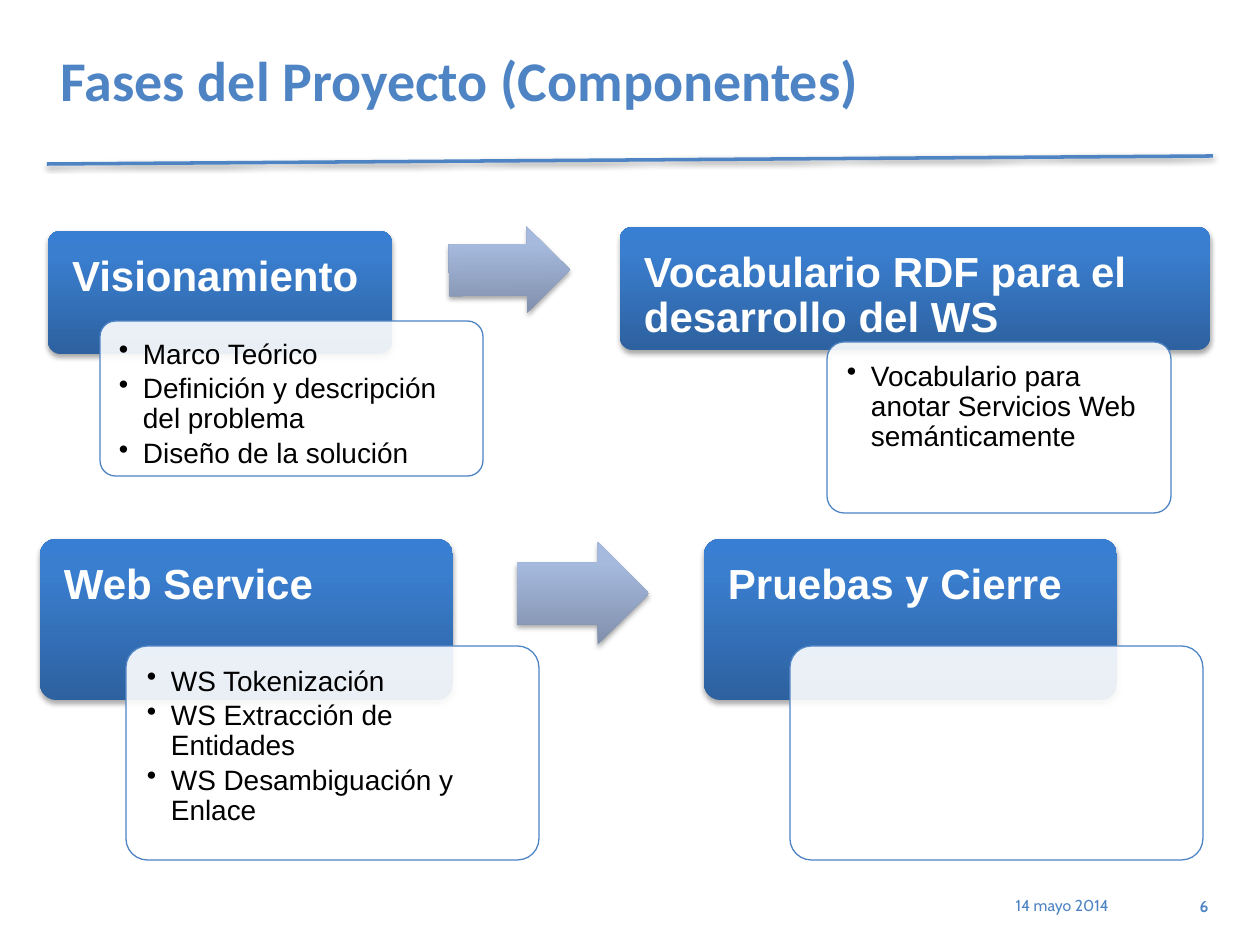
import copy

import lxml.etree
import pptx
import pptx.dml.color
import pptx.enum.shapes
import pptx.enum.text
import pptx.oxml.ns
import pptx.util

RGB = pptx.dml.color.RGBColor
SHAPE = pptx.enum.shapes.MSO_SHAPE
ALIGN = pptx.enum.text.PP_ALIGN
ANCHOR = pptx.enum.text.MSO_ANCHOR
qn = pptx.oxml.ns.qn

# Content: each phase has a heading box and an overlapping detail card
TITLE = "Fases del Proyecto (Componentes)"
DATE = "14 mayo 2014"
PAGE = "6"
PHASES = [
    {"name": "Visionamiento", "head": (48, 231, 344, 123), "card": (100, 321, 383, 155),
     "points": ["Marco Teórico", "Definición y descripción del problema",
                "Diseño de la solución"]},
    {"name": "Vocabulario RDF para el desarrollo del WS",
     "head": (620, 227, 590, 123), "card": (827, 342, 344, 171),
     "points": ["Vocabulario para anotar Servicios Web semánticamente"]},
    {"name": "Web Service", "head": (40, 539, 413, 161), "card": (126, 646, 413, 214),
     "points": ["WS Tokenización", "WS Extracción de Entidades",
                "WS Desambiguación y Enlace"]},
    {"name": "Pruebas y Cierre", "head": (704, 539, 413, 161),
     "card": (790, 646, 413, 214), "points": []},
]
ARROWS = [((449, 227, 121, 86), -0.3), ((517, 542, 132, 103), 0)]

# Colours
BLUE = RGB(0x4E, 0x84, 0xC4)
WHITE = RGB(0xFF, 0xFF, 0xFF)
BLACK = RGB(0, 0, 0)
HEAD_STOPS = [(0, RGB(0x2D, 0x61, 0x9F)), (0.8, RGB(0x3A, 0x7E, 0xCF)),
              (1, RGB(0x38, 0x7F, 0xD3))]
ARROW_STOPS = [(0, RGB(0x80, 0x8F, 0xAB)), (0.8, RGB(0xA6, 0xBA, 0xDE)),
               (1, RGB(0xA6, 0xBA, 0xE0))]

PX_PER_INCH = 126
BULLET_INDENT = 24


def px(length):
    return pptx.util.Emu(round(length * 914400 / PX_PER_INCH))


def place(box):
    return [px(length) for length in box]


def write(frame, paragraphs, font="Arial", size=16, color=BLACK, bold=False,
          align=ALIGN.LEFT, anchor=ANCHOR.TOP, insets=None, line=None,
          after=0, bullet=False):
    frame.word_wrap = True
    frame.vertical_anchor = anchor
    if insets:
        (frame.margin_left, frame.margin_top,
         frame.margin_right, frame.margin_bottom) = place(insets)
    for index, text in enumerate(paragraphs):
        paragraph = frame.add_paragraph() if index else frame.paragraphs[0]
        paragraph.alignment = align
        paragraph.line_spacing = line
        paragraph.space_after = pptx.util.Pt(after)
        run = paragraph.add_run()
        run.text = text
        run.font.name = font
        run.font.size = pptx.util.Pt(size)
        run.font.bold = bold
        run.font.color.rgb = color
        if bullet:
            properties = paragraph._p.get_or_add_pPr()
            properties.set("marL", str(px(BULLET_INDENT)))
            properties.set("indent", str(-px(BULLET_INDENT)))
            lxml.etree.SubElement(properties, qn("a:buChar"), char="•")


def add_text(slide, box, paragraphs, **text_format):
    write(slide.shapes.add_textbox(*place(box)).text_frame, paragraphs, **text_format)


def add_shadow(properties, distance, alpha):
    effects = properties.find(qn("a:effectLst"))
    if effects is None:
        effects = lxml.etree.SubElement(properties, qn("a:effectLst"))
    shadow = lxml.etree.SubElement(
        effects, qn("a:outerShdw"), blurRad=str(pptx.util.Pt(3.1)),
        dist=str(pptx.util.Pt(distance)), dir="5400000", rotWithShape="0")
    tint = lxml.etree.SubElement(shadow, qn("a:srgbClr"), val="000000")
    lxml.etree.SubElement(tint, qn("a:alpha"), val=str(alpha * 1000))


def add_box(slide, preset, box, adjustments):
    shape = slide.shapes.add_shape(preset, *place(box))
    for index, value in enumerate(adjustments):
        shape.adjustments[index] = value
    shape.shadow.inherit = False
    return shape


def add_raised(slide, preset, box, adjustments, stops):
    shape = add_box(slide, preset, box, adjustments)
    shape.line.fill.background()
    shape.fill.gradient()
    shape.fill.gradient_angle = 90
    stop_list = shape._element.spPr.find(qn("a:gradFill")).find(qn("a:gsLst"))
    stop_list.append(copy.deepcopy(stop_list[-1]))
    for stop, (position, color) in zip(shape.fill.gradient_stops, stops):
        stop.position = position
        stop.color.rgb = color
    add_shadow(shape._element.spPr, 1.8, 35)
    return shape


def add_phase(slide, phase):
    # Heading, with its text in the upper two thirds
    left, top, width, height = phase["head"]
    add_raised(slide, SHAPE.ROUNDED_RECTANGLE, phase["head"], [0.1], HEAD_STOPS)
    add_text(slide, (left, top, width, round(height * 2 / 3)), [phase["name"]],
             size=24, color=WHITE, bold=True, insets=(24, 24, 24, 13),
             line=0.9, after=8.4)

    # Translucent card
    card = add_box(slide, SHAPE.ROUNDED_RECTANGLE, phase["card"], [0.1])
    card.fill.solid()
    card.fill.fore_color.rgb = WHITE
    tint = card._element.spPr.find(qn("a:solidFill"))[0]
    lxml.etree.SubElement(tint, qn("a:alpha"), val="90000")
    card.line.color.rgb = BLUE
    card.line.width = pptx.util.Pt(0.75)

    # Points, set in from the rounded corners
    if phase["points"]:
        left, top, width, height = phase["card"]
        inset = round(height * 0.029)
        add_text(slide, (left + inset, top + inset, width - 2 * inset, height - 2 * inset),
                 phase["points"], insets=(15, 15, 15, 15), line=0.9, after=2.4,
                 bullet=True)


def main():
    deck = pptx.Presentation()
    deck.slide_width, deck.slide_height = px(1260), px(945)
    slide = deck.slides.add_slide(deck.slide_layouts[5])

    # Title and rule
    title = slide.shapes.title
    title.left, title.top, title.width, title.height = place((48, 38, 1163, 82))
    write(title.text_frame, [TITLE], font="Calibri", size=32, color=BLUE,
          bold=True, anchor=ANCHOR.MIDDLE)
    rule = slide.shapes.add_connector(pptx.enum.shapes.MSO_CONNECTOR.STRAIGHT,
                                      *place((47, 164, 1213, 156)))
    rule.line.color.rgb = BLUE
    rule.line.width = pptx.util.Pt(2)
    add_shadow(rule._element.spPr, 1.6, 38)

    # Phases and the arrows between them
    for phase in PHASES:
        add_phase(slide, phase)
    for box, rotation in ARROWS:
        arrow = add_raised(slide, SHAPE.RIGHT_ARROW, box, [0.6, 0.5], ARROW_STOPS)
        arrow.rotation = rotation

    # Footer
    footer = {"font": "Cabin", "size": 9, "color": BLUE, "align": ALIGN.RIGHT}
    add_text(slide, (926, 890, 195, 44), [DATE], **footer)
    add_text(slide, (1168, 891, 53, 37), [PAGE], bold=True, **footer)

    deck.save("out.pptx")


if __name__ == "__main__":
    main()
